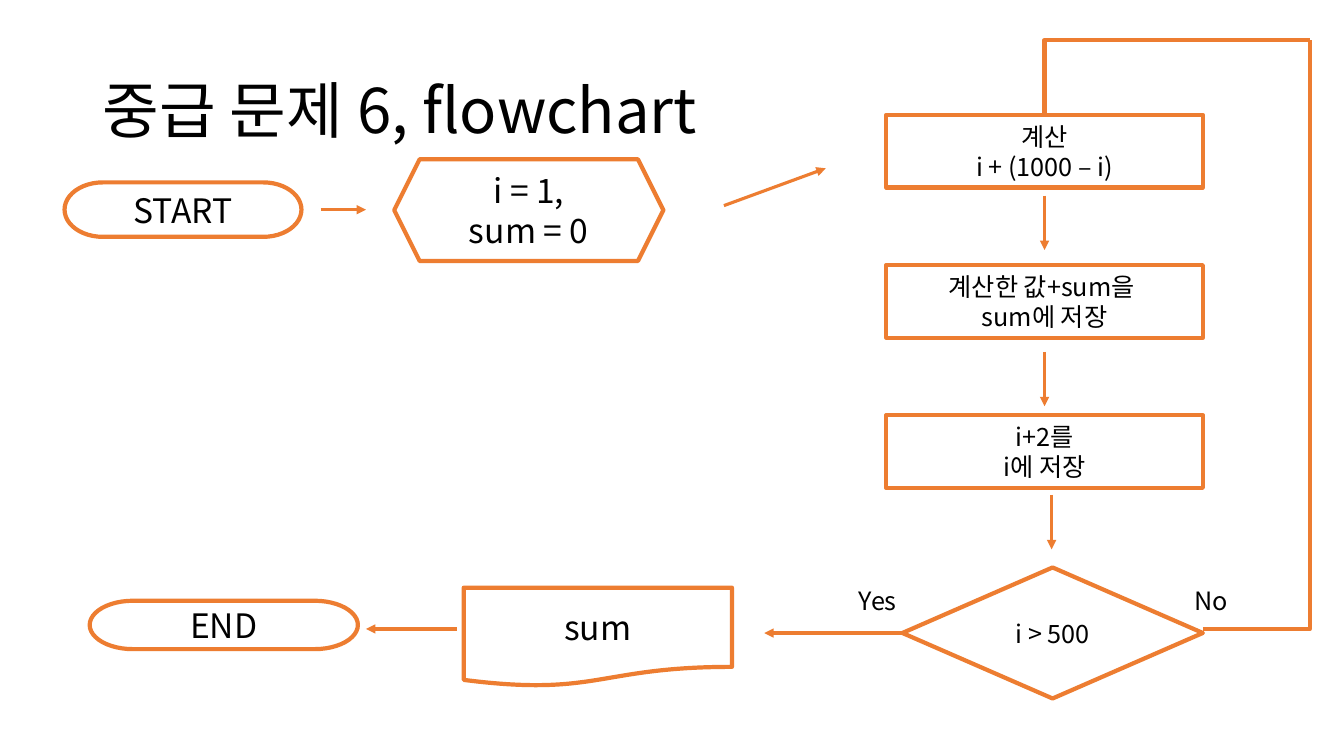
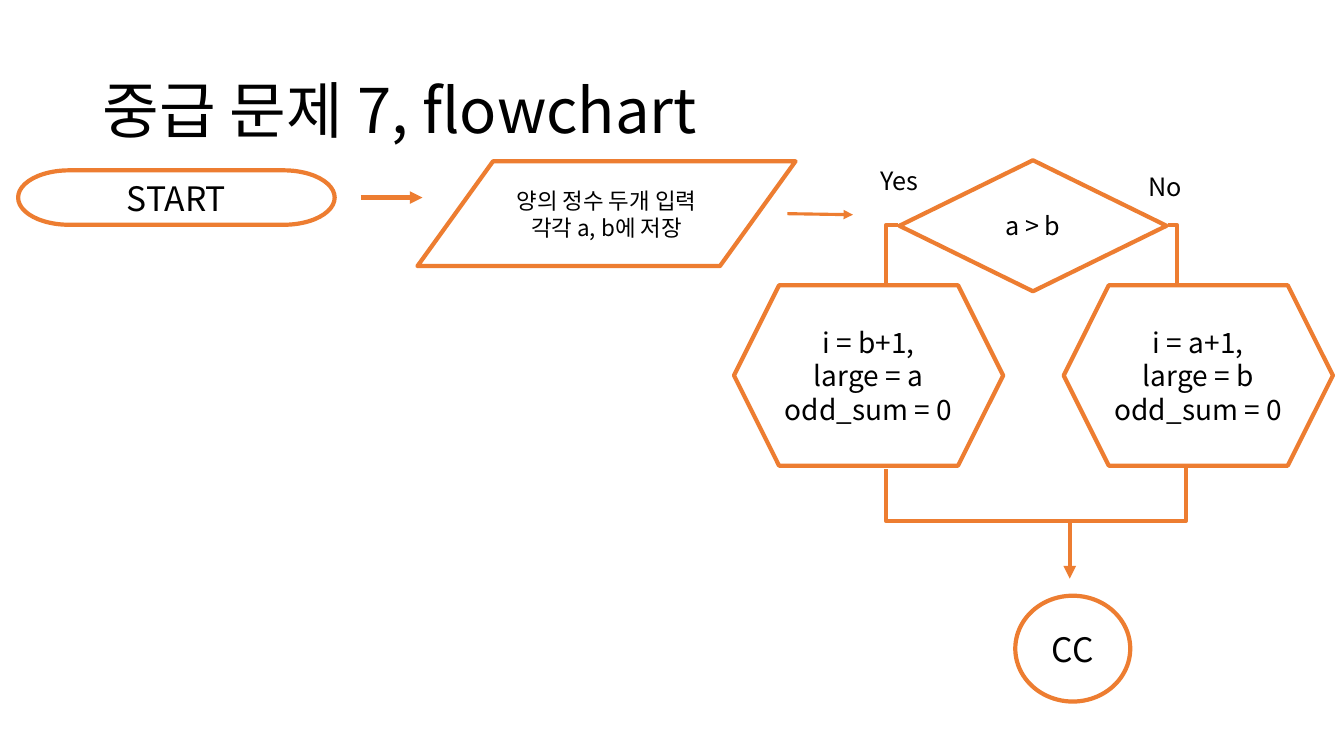
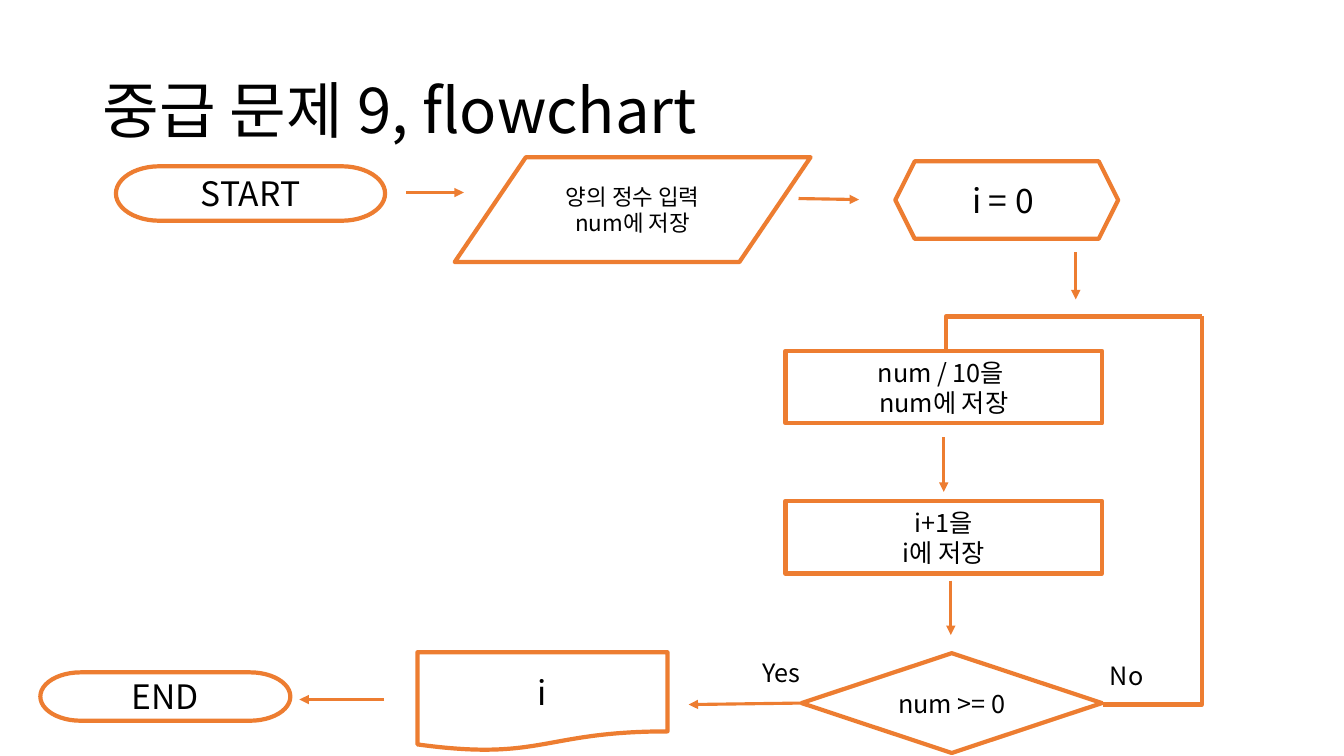
"""Build three flowchart slides for the intermediate exercises."""
from dataclasses import dataclass

from lxml import etree
from pptx import Presentation
from pptx.dml.color import RGBColor
from pptx.enum.shapes import MSO_CONNECTOR, MSO_SHAPE
from pptx.enum.text import MSO_ANCHOR, PP_ALIGN
from pptx.oxml.ns import qn
from pptx.util import Inches, Pt

FONT = "Noto Sans CJK KR"
BLACK, WHITE, ORANGE = "000000", "FFFFFF", "ED7D31"
TERMINATOR = MSO_SHAPE.FLOWCHART_TERMINATOR
DECISION = MSO_SHAPE.FLOWCHART_DECISION
DATA = MSO_SHAPE.FLOWCHART_DATA
DOCUMENT = MSO_SHAPE.FLOWCHART_DOCUMENT
HEXAGON, OVAL, RECTANGLE = MSO_SHAPE.HEXAGON, MSO_SHAPE.OVAL, MSO_SHAPE.RECTANGLE
STRAIGHT, ELBOW = MSO_CONNECTOR.STRAIGHT, MSO_CONNECTOR.ELBOW
LEFT, CENTER = PP_ALIGN.LEFT, PP_ALIGN.CENTER
TOP, MIDDLE = MSO_ANCHOR.TOP, MSO_ANCHOR.MIDDLE
LEFT_SITE = 1
LABEL_HEIGHT = 0.4
STEP_WIDTH, STEP_HEIGHT, STEP_PITCH = 3.14, 0.72, 1.49


@dataclass
class Node:
    kind: MSO_SHAPE
    left: float
    top: float
    width: float
    height: float
    text: str
    size: int = 24


@dataclass
class Label:
    left: float
    top: float
    width: float
    text: str


@dataclass
class Link:
    start: tuple[float, float]
    end: tuple[float, float]
    width: float = 2.25
    arrow: bool = True
    source: str = ""


@dataclass
class Flowchart:
    title: str
    nodes: list[Node]
    labels: list[Label]
    elbows: list[Link]
    links: list[Link]


def color(value: str) -> RGBColor:
    return RGBColor.from_string(value)


def write_text(shape, text: str, *, size: int, align=CENTER, anchor=MIDDLE, spacing: float = 1.0) -> None:
    frame = shape.text_frame
    frame.word_wrap = True
    frame.vertical_anchor = anchor
    for index, line in enumerate(text.split("\n")):
        paragraph = frame.paragraphs[0] if index == 0 else frame.add_paragraph()
        paragraph.alignment = align
        paragraph.line_spacing = spacing
        run = paragraph.add_run()
        run.text = line
        run.font.size = Pt(size)
        run.font.color.rgb = color(BLACK)
        run.font.name = FONT
        etree.SubElement(run.font._element, qn("a:ea"), typeface=FONT)


def add_box(slide, kind: MSO_SHAPE, left: float, top: float, width: float, height: float):
    shape = slide.shapes.add_shape(kind, Inches(left), Inches(top), Inches(width), Inches(height))
    shape.shadow.inherit = False
    shape.fill.solid()
    shape.fill.fore_color.rgb = color(WHITE)
    return shape


def add_title(slide, text: str) -> None:
    box = slide.shapes.add_textbox(Inches(0.92), Inches(0.4), Inches(11.5), Inches(1.45))
    write_text(box, text, size=44, align=LEFT, spacing=0.9)


def add_node(slide, node: Node):
    shape = add_box(slide, node.kind, node.left, node.top, node.width, node.height)
    shape.line.color.rgb = color(ORANGE)
    shape.line.width = Pt(3)
    write_text(shape, node.text, size=node.size)
    return shape


def add_label(slide, label: Label) -> None:
    shape = add_box(slide, RECTANGLE, label.left, label.top, label.width, LABEL_HEIGHT)
    shape.line.fill.background()
    write_text(shape, label.text, size=18, align=LEFT, anchor=TOP)


def add_link(slide, link: Link, kind=STRAIGHT):
    points = [Inches(value) for value in (*link.start, *link.end)]
    connector = slide.shapes.add_connector(kind, *points)
    connector.line.color.rgb = color(ORANGE)
    connector.line.width = Pt(link.width)
    properties = connector._element.spPr
    if kind == ELBOW:
        properties.find(qn("a:prstGeom")).set("prst", "bentConnector2")
    if link.arrow:
        etree.SubElement(properties.find(qn("a:ln")), qn("a:tailEnd"), type="triangle")
    etree.SubElement(properties, qn("a:effectLst"))
    return connector


def elbow(start: tuple[float, float], end: tuple[float, float]) -> Link:
    return Link(start, end, width=3, arrow=False)


def steps(left: float, top: float, texts: list[str]) -> list[Node]:
    return [
        Node(RECTANGLE, left, top + index * STEP_PITCH, STEP_WIDTH, STEP_HEIGHT, text, 18)
        for index, text in enumerate(texts)
    ]


def draw(presentation, chart: Flowchart) -> None:
    slide = presentation.slides.add_slide(presentation.slide_layouts[6])
    add_title(slide, chart.title)
    for link in chart.elbows:
        add_link(slide, link, ELBOW)
    shapes = {node.text: add_node(slide, node) for node in chart.nodes}
    for label in chart.labels:
        add_label(slide, label)
    for link in chart.links:
        connector = add_link(slide, link)
        if link.source:
            connector.begin_connect(shapes[link.source], LEFT_SITE)


CHARTS = [
    Flowchart(
        "중급 문제 6, flowchart",
        [
            Node(TERMINATOR, 0.64, 1.81, 2.35, 0.54, "START"),
            Node(HEXAGON, 3.91, 1.58, 2.67, 1.01, "i = 1,\nsum = 0"),
            *steps(8.79, 1.14, ["계산\ni + (1000 – i)", "계산한 값+sum을 \nsum에 저장", "i+2를\ni에 저장"]),
            Node(DECISION, 8.95, 5.63, 2.98, 1.3, "i > 500", 18),
            Node(DOCUMENT, 4.6, 5.83, 2.66, 0.98, "sum"),
            Node(TERMINATOR, 0.89, 5.96, 2.66, 0.48, "END"),
        ],
        [Label(8.42, 5.76, 0.7, "Yes"), Label(11.75, 5.76, 0.67, "No")],
        [elbow((11.93, 6.24), (12.99, 0.4)), elbow((12.99, 0.4), (10.36, 1.14))],
        [
            Link((3.18, 2.08), (3.63, 2.08)),
            Link((7.18, 2.04), (8.19, 1.67)),
            Link((10.36, 1.94), (10.36, 2.48)),
            Link((10.36, 3.49), (10.36, 4.03)),
            Link((10.43, 4.91), (10.43, 5.45)),
            Link((8.95, 6.28), (7.58, 6.28), source="i > 500"),
            Link((4.53, 6.24), (3.63, 6.24)),
        ],
    ),
    Flowchart(
        "중급 문제 7, flowchart",
        [
            Node(TERMINATOR, 0.18, 1.69, 3.14, 0.54, "START"),
            Node(DATA, 4.14, 1.6, 3.75, 1.04, "양의 정수 두개 입력\n각각 a, b에 저장", 16),
            Node(DECISION, 8.92, 1.59, 2.65, 1.3, "a > b", 18),
            Node(HEXAGON, 7.28, 2.83, 2.67, 1.79, "i = b+1,\nlarge = a\nodd_sum = 0", 20),
            Node(HEXAGON, 10.55, 2.83, 2.67, 1.79, "i = a+1,\nlarge = b odd_sum = 0", 20),
            Node(OVAL, 10.07, 5.91, 1.14, 1.05, "CC"),
        ],
        [Label(8.63, 1.59, 0.7, "Yes"), Label(11.29, 1.65, 0.67, "No")],
        [
            elbow((8.91, 2.23), (8.79, 3.1)),
            elbow((11.58, 2.23), (11.67, 3.14)),
            elbow((10.2, 5.17), (8.79, 4.65)),
            elbow((10.58, 5.17), (11.76, 3.88)),
        ],
        [
            Link((3.58, 1.96), (4.19, 1.96), width=3),
            Link((7.81, 2.12), (8.46, 2.13)),
            Link((10.14, 5.17), (10.78, 5.17), width=3, arrow=False),
            Link((10.61, 5.17), (10.61, 5.74), width=3),
        ],
    ),
    Flowchart(
        "중급 문제 9, flowchart",
        [
            Node(TERMINATOR, 1.15, 1.65, 2.67, 0.54, "START"),
            Node(DATA, 4.51, 1.56, 3.53, 1.04, "양의 정수 입력\nnum에 저장", 16),
            Node(HEXAGON, 8.88, 1.6, 2.21, 0.77, "i = 0 "),
            *steps(7.79, 3.48, ["num / 10을 \nnum에 저장", "i+1을\ni에 저장"]),
            Node(DECISION, 7.95, 6.48, 2.98, 0.99, "num >= 0", 18),
            Node(DOCUMENT, 4.14, 6.47, 2.48, 0.98, "i"),
            Node(TERMINATOR, 0.4, 6.67, 2.48, 0.48, "END"),
        ],
        [Label(7.46, 6.47, 0.7, "Yes"), Label(10.91, 6.5, 0.67, "No")],
        [elbow((10.94, 6.99), (11.92, 3.14)), elbow((11.92, 3.14), (9.38, 3.65))],
        [
            Link((4.03, 1.91), (4.6, 1.91)),
            Link((7.92, 1.97), (8.52, 1.98)),
            Link((10.67, 2.5), (10.67, 2.97)),
            Link((9.36, 4.34), (9.36, 4.88)),
            Link((9.43, 5.76), (9.43, 6.3)),
            Link((7.95, 6.99), (6.83, 6.99), source="num >= 0"),
            Link((3.81, 6.94), (2.97, 6.94)),
        ],
    ),
]


def main() -> None:
    presentation = Presentation()
    presentation.slide_width = Inches(13.33)
    presentation.slide_height = Inches(7.5)
    for chart in CHARTS:
        draw(presentation, chart)
    presentation.save("out.pptx")


if __name__ == "__main__":
    main()
